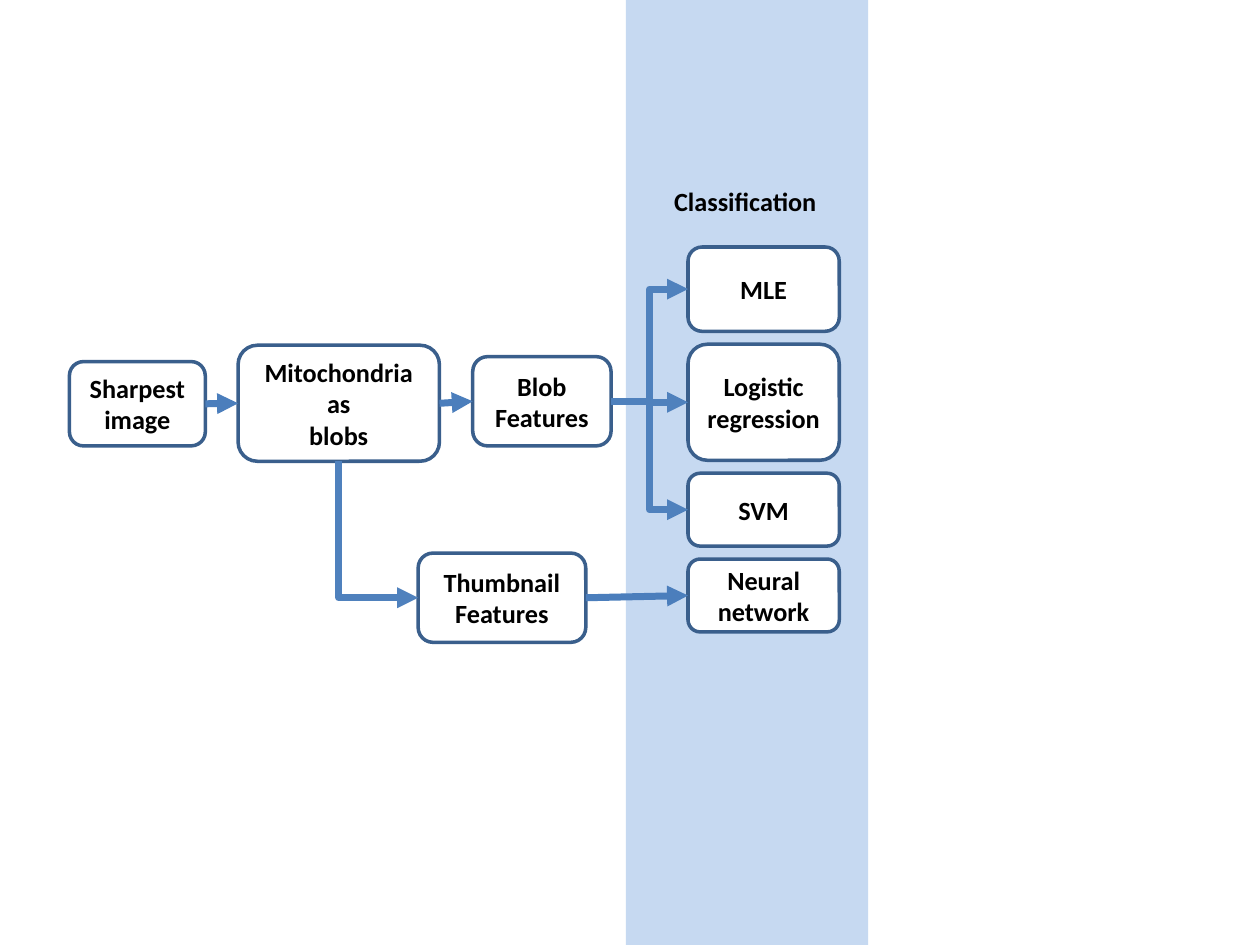
"""Build the mitochondria classification pipeline slide."""
from lxml.etree import SubElement
from pptx import Presentation
from pptx.dml.color import RGBColor
from pptx.enum.shapes import MSO_CONNECTOR as LINK, MSO_SHAPE as SHAPE
from pptx.enum.text import MSO_ANCHOR as ANCHOR, MSO_AUTO_SIZE as AUTO_SIZE, PP_ALIGN as ALIGN
from pptx.oxml.ns import qn
from pptx.util import Cm, Pt

WHITE = RGBColor(0xFF, 0xFF, 0xFF)
BLACK = RGBColor(0x00, 0x00, 0x00)
BAND_BLUE = RGBColor(0xC6, 0xD9, 0xF1)
BORDER_BLUE = RGBColor(0x3A, 0x5F, 0x8C)
STRAIGHT_BLUE = RGBColor(0x4B, 0x7E, 0xBC)
ELBOW_BLUE = RGBColor(0x4F, 0x81, 0xBD)
LEFT, BOTTOM, RIGHT = 1, 2, 3

prs = Presentation()
prs.slide_width, prs.slide_height = Cm(25.4), Cm(19.05)
slide = prs.slides.add_slide(prs.slide_layouts[6])
shapes = slide.shapes


def write(paragraph, text):
    run = paragraph.add_run()
    run.text = text
    run.font.name = "Calibri"
    run.font.size = Pt(15)
    run.font.bold = True
    run.font.color.rgb = BLACK


def connect(kind, color, source, source_site, target):
    arrow = shapes.add_connector(kind, 0, 0, 0, 0)
    arrow.begin_connect(source, source_site)
    arrow.end_connect(target, LEFT)
    arrow.line.color.rgb = color
    arrow.line.width = Pt(4)
    SubElement(arrow.line._get_or_add_ln(), qn("a:tailEnd"), type="triangle")
    SubElement(arrow._element.spPr, qn("a:effectLst"))
    return arrow


band = shapes.add_shape(SHAPE.RECTANGLE, Cm(12.62), 0, Cm(4.88), prs.slide_height)
band.shadow.inherit = False
band.fill.solid()
band.fill.fore_color.rgb = BAND_BLUE
band.line.fill.background()

steps = [
    ("Mitochondria as\nblobs", 4.8, 6.96, 4.06, 2.34),
    ("Sharpest image", 1.4, 7.29, 2.74, 1.7),
    ("Blob Features", 9.53, 7.19, 2.79, 1.8),
    ("Thumbnail Features", 8.43, 11.15, 3.38, 1.8),
]
classifier_top = 4.98
for name, height in [("MLE", 1.7), ("Logistic regression", 2.34),
                     ("SVM", 1.47), ("Neural network", 1.47)]:
    steps.append((name, 13.87, classifier_top, 3.05, height))
    classifier_top += height + 0.26

boxes = []
for label, left, top, width, height in steps:
    box = shapes.add_shape(SHAPE.ROUNDED_RECTANGLE, Cm(left), Cm(top), Cm(width), Cm(height))
    box.shadow.inherit = False
    box.fill.solid()
    box.fill.fore_color.rgb = WHITE
    box.line.color.rgb = BORDER_BLUE
    box.line.width = Pt(2)
    frame = box.text_frame
    frame.word_wrap = True
    frame.vertical_anchor = ANCHOR.MIDDLE
    for index, line in enumerate(label.split("\n")):
        paragraph = frame.add_paragraph() if index else frame.paragraphs[0]
        paragraph.alignment = ALIGN.CENTER
        write(paragraph, line)
    boxes.append(box)
mitochondria, sharpest, blob, thumbnail, mle, logistic, svm, neural = boxes

for source, target in [(sharpest, mitochondria), (mitochondria, blob), (thumbnail, neural)]:
    connect(LINK.STRAIGHT, STRAIGHT_BLUE, source, RIGHT, target)
for classifier in (mle, svm, logistic):
    connect(LINK.ELBOW, ELBOW_BLUE, blob, RIGHT, classifier)

corner = connect(LINK.ELBOW, ELBOW_BLUE, mitochondria, BOTTOM, thumbnail)
across, down = corner.width, corner.height
corner.left += (across - down) // 2
corner.top += (down - across) // 2
corner.width, corner.height = down, across
corner_xfrm = corner._element.spPr.find(qn("a:xfrm"))
corner_xfrm.set("rot", "16200000")
corner_xfrm.set("flipH", "1")
corner._element.spPr.find(qn("a:prstGeom")).set("prst", "bentConnector2")

heading = shapes.add_textbox(Cm(13.34), Cm(3.61), Cm(3.4), Cm(0.89)).text_frame
heading.word_wrap = False
heading.auto_size = AUTO_SIZE.SHAPE_TO_FIT_TEXT
write(heading.paragraphs[0], "Classification")

prs.save("out.pptx")
